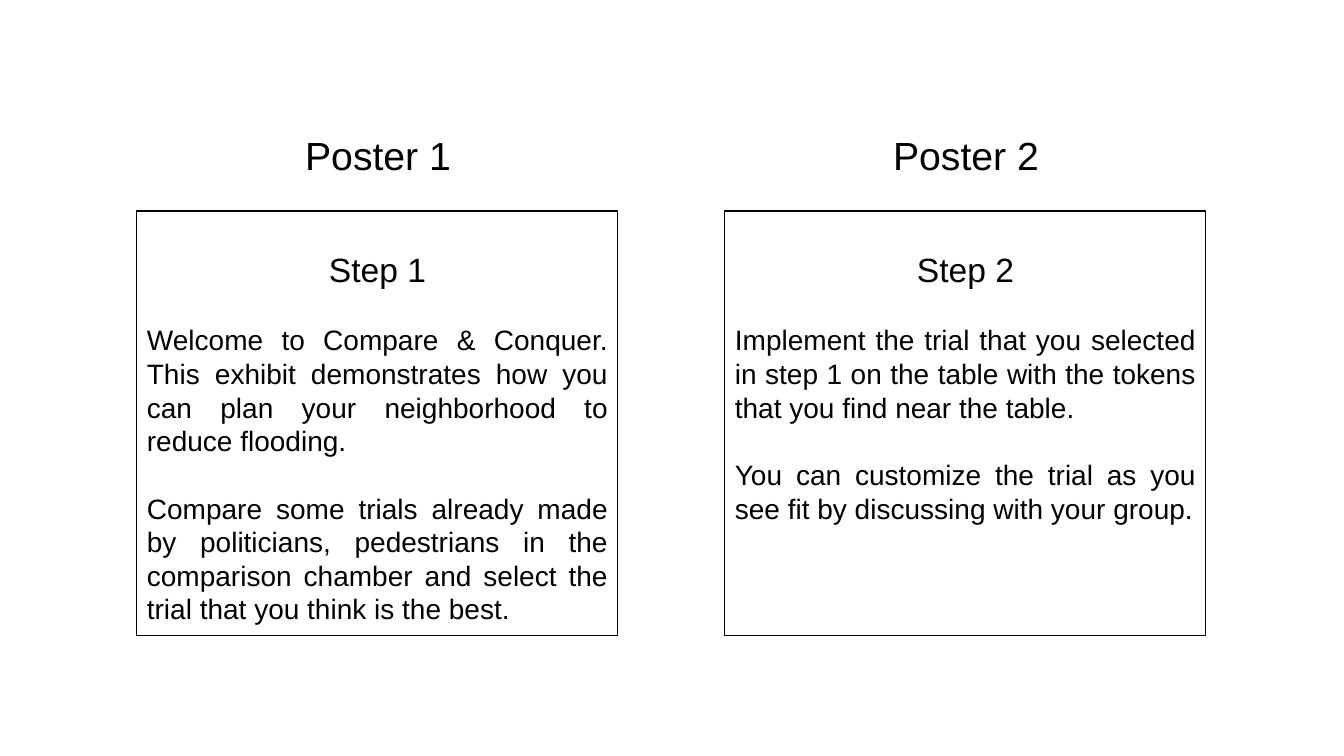
from pptx import Presentation
from pptx.dml.color import RGBColor
from pptx.enum.shapes import MSO_SHAPE
from pptx.enum.text import MSO_ANCHOR, PP_ALIGN
from pptx.util import Emu, Pt

RECTANGLE = MSO_SHAPE.RECTANGLE
TOP, MIDDLE = MSO_ANCHOR.TOP, MSO_ANCHOR.MIDDLE
CENTER, JUSTIFY = PP_ALIGN.CENTER, PP_ALIGN.JUSTIFY
BLACK, WHITE = "000000", "FFFFFF"
EMU_PER_PX = 914400 / 100.8


def px(length):
    return Emu(round(length * EMU_PER_PX))


def write(paragraph, text, size, alignment):
    paragraph.alignment = alignment
    run = paragraph.add_run()
    run.text = text
    run.font.name = "Arial"
    run.font.size = Pt(size)
    run.font.color.rgb = RGBColor.from_string(BLACK)


presentation = Presentation()
presentation.slide_width = px(1344)
presentation.slide_height = px(756)
slide = presentation.slides.add_slide(presentation.slide_layouts[6])

# Instructions on each poster
posters = [
    [
        "Welcome to Compare & Conquer. This exhibit demonstrates how you "
        "can plan your neighborhood to reduce flooding.",
        "Compare some trials already made by politicians, pedestrians in the "
        "comparison chamber and select the trial that you think is the best.",
    ],
    [
        "Implement the trial that you selected in step 1 on the table with "
        "the tokens that you find near the table.",
        "You can customize the trial as you see fit by discussing with your group.",
    ],
]
FIRST_LEFT, POSTER_PITCH = 137, 588
HEADING_OVERHANG = 18

for number, instructions in enumerate(posters, start=1):
    left = FIRST_LEFT + (number - 1) * POSTER_PITCH

    # Heading above the poster
    heading = slide.shapes.add_textbox(
        px(left - HEADING_OVERHANG), px(85), px(518), px(146)
    ).text_frame
    heading.word_wrap = True
    heading.vertical_anchor = MIDDLE
    heading.paragraphs[0].line_spacing = 0.9
    write(heading.paragraphs[0], f"Poster {number}", 28, CENTER)

    # Framed poster
    poster = slide.shapes.add_shape(RECTANGLE, px(left), px(211), px(481), px(425))
    poster.shadow.inherit = False
    poster.fill.solid()
    poster.fill.fore_color.rgb = RGBColor.from_string(WHITE)
    poster.line.color.rgb = RGBColor.from_string(BLACK)
    poster.line.width = Pt(0.75)

    # Step title and instructions
    content = poster.text_frame
    content.word_wrap = True
    content.vertical_anchor = TOP
    content.margin_top = px(38)
    write(content.paragraphs[0], f"Step {number}", 24, CENTER)
    for instruction in instructions:
        paragraph = content.add_paragraph()
        paragraph.space_before = Pt(24)
        write(paragraph, instruction, 20, JUSTIFY)

presentation.save("out.pptx")
